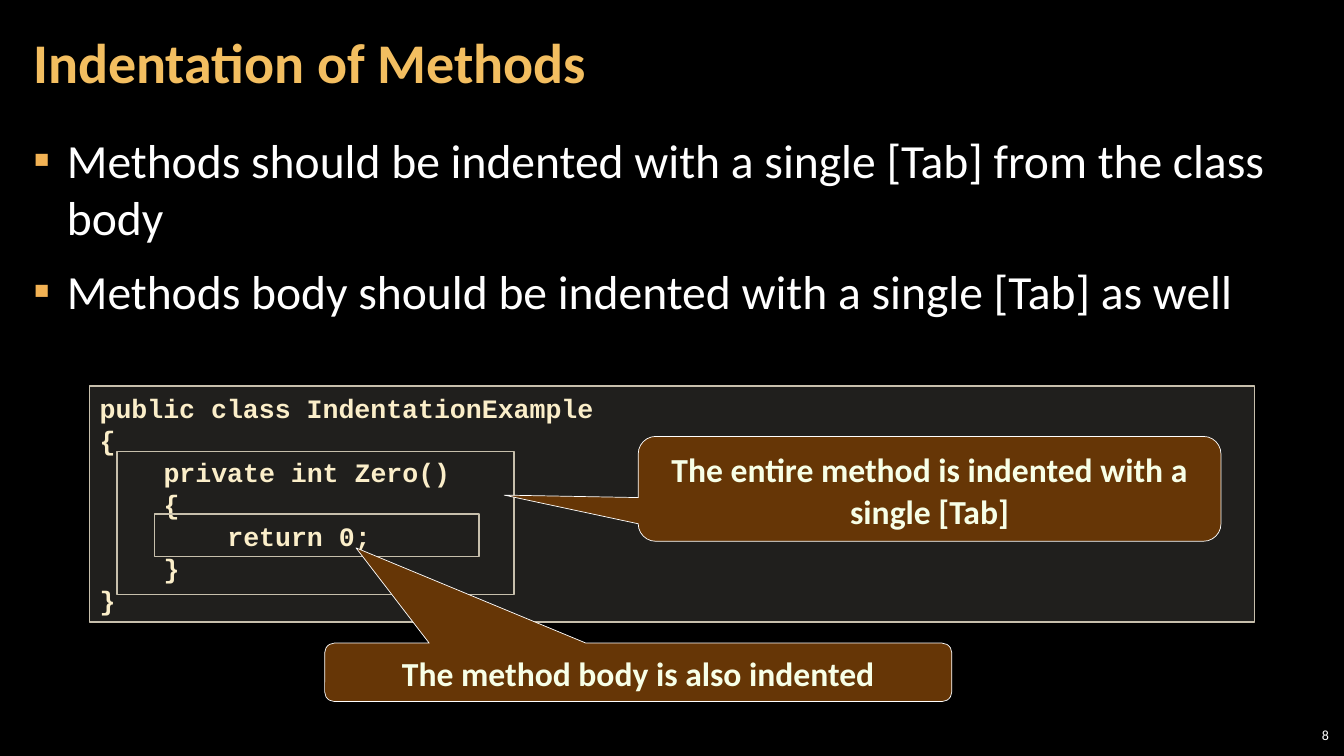
from lxml import etree
from pptx import Presentation
from pptx.dml.color import RGBColor
from pptx.enum.shapes import MSO_SHAPE as SHAPE
from pptx.enum.text import MSO_ANCHOR as ANCHOR, MSO_AUTO_SIZE as AUTO, PP_ALIGN as ALIGN
from pptx.oxml.ns import qn
from pptx.util import Inches, Pt

WIDTH, HEIGHT = 13.33, 7.5
BLACK, WHITE, ORANGE, GOLD = "000000", "FFFFFF", "F2B254", "F3BE60"
BEIGE, CREAM, BROWN, PALE = "C7BFAC", "FBEEC9", "663606", "F7FFE7"
CODE_SIZE = 19
TAB = 4 * 0.6 * CODE_SIZE  # four monospaced characters, in points

BULLETS = [
    "Methods should be indented with a single [Tab] from the class body",
    "Methods body should be indented with a single [Tab] as well",
]
CODE = [  # (tabs, text)
    (0, "public class IndentationExample"),
    (0, "{"),
    (1, "private int Zero()"),
    (1, "{"),
    (2, "return 0;"),
    (1, "}"),
    (0, "}"),
]


def rgb(value):
    return RGBColor.from_string(value)


def inches(box):
    return [Inches(v) for v in box]


def add_run(p, text, size, color, bold=False, font="Calibri"):
    r = p.add_run()
    r.text = text
    r.font.name, r.font.size, r.font.bold = font, Pt(size), bold
    r.font.color.rgb = rgb(color)


def set_frame(sp, anchor, x_inset=0.1, y_inset=0.05):
    tf = sp.text_frame
    tf.word_wrap, tf.auto_size, tf.vertical_anchor = True, AUTO.NONE, anchor
    tf.margin_left = tf.margin_right = Inches(x_inset)
    tf.margin_top = tf.margin_bottom = Inches(y_inset)
    return tf


def paragraphs(tf, items):
    """Yield each item with a paragraph of its own."""
    for i, item in enumerate(items):
        yield (tf.add_paragraph() if i else tf.paragraphs[0]), item


def indent(p, left, first=0):
    pPr = p._p.get_or_add_pPr()
    pPr.set("marL", str(Pt(left)))
    pPr.set("indent", str(Pt(first)))
    return pPr


def add_bullet(p, color):
    pPr = indent(p, 24, -24)
    clr = etree.SubElement(pPr, qn("a:buClr"))
    etree.SubElement(clr, qn("a:srgbClr"), val=color)
    etree.SubElement(pPr, qn("a:buFont"), typeface="Calibri")
    etree.SubElement(pPr, qn("a:buChar"), char="▪")


def add_box(slide, kind, box, line, line_width, fill=None, alpha=None):
    sp = slide.shapes.add_shape(kind, *inches(box))
    sp.shadow.inherit = False
    sp.line.color.rgb, sp.line.width = rgb(line), Pt(line_width)
    if fill is None:
        sp.fill.background()
        return sp
    sp.fill.solid()
    sp.fill.fore_color.rgb = rgb(fill)
    if alpha is not None:
        clr = sp._element.spPr.find(qn("a:solidFill")).find(qn("a:srgbClr"))
        etree.SubElement(clr, qn("a:alpha"), val=str(alpha * 1000))
    return sp


def add_title(slide, box, text):
    title = slide.shapes.title
    title.left, title.top, title.width, title.height = inches(box)
    p = set_frame(title, ANCHOR.MIDDLE, 0.12, 0.04).paragraphs[0]
    p.alignment, p.line_spacing = ALIGN.LEFT, 0.9
    add_run(p, text, 40, GOLD, bold=True)


def add_bullets(slide, box, items):
    sp = slide.shapes.add_textbox(*inches(box))
    for p, text in paragraphs(set_frame(sp, ANCHOR.TOP, 0.12, 0.04), items):
        p.space_before = p.space_after = Pt(6)
        add_bullet(p, ORANGE)
        add_run(p, text, 34, WHITE)


def add_page_number(slide, box, number):
    sp = slide.shapes.add_textbox(*inches(box))
    p = set_frame(sp, ANCHOR.MIDDLE, 0.04, 0.04).paragraphs[0]
    p.alignment = ALIGN.RIGHT
    add_run(p, str(number), 10, WHITE)


def add_code(slide, box, lines):
    """Code panel with a frame around the method and one around its body."""
    left, top, width, height = box
    sp = add_box(slide, SHAPE.RECTANGLE, box, BEIGE, 1, "D9D5C7", 15)
    for p, (tabs, text) in paragraphs(set_frame(sp, ANCHOR.MIDDLE), lines):
        p.alignment, p.line_spacing = ALIGN.LEFT, Pt(22.9)
        indent(p, tabs * TAB)
        add_run(p, text, CODE_SIZE, CREAM, bold=True, font="Courier New")
    for dx, dy, w, h in [(0.27, 0.65, 3.94, 1.42), (0.64, 1.27, 3.22, 0.42)]:
        add_box(slide, SHAPE.RECTANGLE, (left + dx, top + dy, w, h), BEIGE, 1)


def add_callout(slide, box, tip, text):
    """Rounded callout whose tip is given as shares of its size from its centre."""
    sp = add_box(slide, SHAPE.ROUNDED_RECTANGULAR_CALLOUT, box, WHITE, 0.5, BROWN)
    sp.adjustments[0], sp.adjustments[1] = tip
    p = set_frame(sp, ANCHOR.MIDDLE).paragraphs[0]
    p.alignment, p.line_spacing = ALIGN.CENTER, Pt(30)
    add_run(p, text, 24, PALE, bold=True)


def main():
    prs = Presentation()
    prs.slide_width, prs.slide_height = Inches(WIDTH), Inches(HEIGHT)
    slide = prs.slides.add_slide(prs.slide_layouts[5])
    slide.background.fill.solid()
    slide.background.fill.fore_color.rgb = rgb(BLACK)

    add_title(slide, (0.21, 0.04, 10.47, 1.21), "Indentation of Methods")
    add_bullets(slide, (0.21, 1.26, 12.91, 6.09), BULLETS)
    add_page_number(slide, (12.55, 7.17, 0.67, 0.25), 8)
    add_code(slide, (0.89, 3.83, 11.55, 2.34), CODE)
    add_callout(slide, (6.33, 4.33, 5.78, 1.04), (-0.73, 0.06),
                "The entire method is indented with a single [Tab]")
    add_callout(slide, (3.22, 6.38, 6.22, 0.58), (-0.45, -2.13),
                "The method body is also indented")
    prs.save("out.pptx")


if __name__ == "__main__":
    main()
